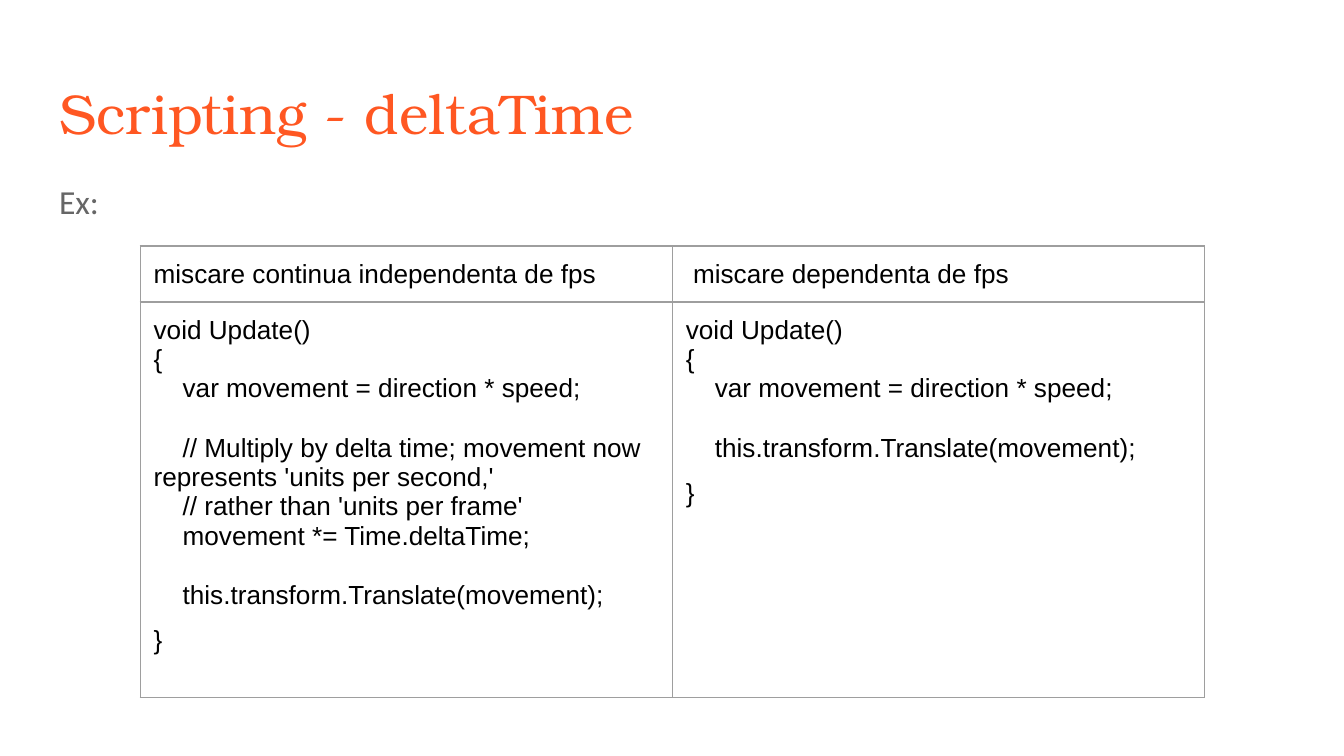
from dataclasses import dataclass

import pptx
import pptx.dml.color
import pptx.enum.text
import pptx.oxml
import pptx.oxml.ns
import pptx.util

COLORS = {"title": "FF5722", "body": "666666", "code": "000000", "border": "9E9E9E"}
WIDTH = pptx.util.Inches(10)
HEIGHT = WIDTH * 9 // 16
INSET = pptx.util.Inches(0.1)
FRAME = {
    "margin_left": INSET,
    "margin_right": INSET,
    "margin_top": INSET,
    "margin_bottom": INSET,
    "vertical_anchor": pptx.enum.text.MSO_ANCHOR.TOP,
}
BOX_FRAME = FRAME | {"word_wrap": True}
CELL_FRAME = FRAME | {"margin_bottom": pptx.util.Inches(0.08)}
BLANK_LINE = pptx.util.Pt(16)


@dataclass
class Style:
    font: str
    size: int
    color: str
    spacing: float | None = None


@dataclass
class Label:
    text: str
    top: float  # share of the slide height
    height: float
    style: Style


@dataclass
class Example:
    heading: str
    code: str


CODE = Style("Arial", 14, "code")
CLOSING = Style("Arial", 14, "code", 1.54)
LABELS = [
    Label("Scripting - deltaTime", 0.0865, 0.112, Style("TeX Gyre Bonum", 30, "title")),
    Label("Ex:", 0.2135, 0.665, Style("Calibri", 18, "body", 1.15)),
]
EXAMPLES = [
    Example(
        "miscare continua independenta de fps",
        """void Update()
{
    var movement = direction * speed;

    // Multiply by delta time; movement now represents 'units per second,'
    // rather than 'units per frame'
    movement *= Time.deltaTime;

    this.transform.Translate(movement);
}""",
    ),
    Example(
        " miscare dependenta de fps",
        """void Update()
{
    var movement = direction * speed;

    this.transform.Translate(movement);
}""",
    ),
]


def apply(target, values: dict) -> None:
    for name, value in values.items():
        setattr(target, name, value)


def write(para, text: str, style: Style) -> None:
    if style.spacing:
        para.line_spacing = style.spacing
    span = para.add_run()
    span.text = text
    apply(span.font, {"name": style.font, "size": pptx.util.Pt(style.size)})
    span.font.color.rgb = pptx.dml.color.RGBColor.from_string(COLORS[style.color])


def draw_label(page, label: Label) -> None:
    box = page.shapes.add_textbox(
        int(WIDTH * 0.0341), int(HEIGHT * label.top),
        int(WIDTH * 0.932), int(HEIGHT * label.height),
    )
    apply(box.text_frame, BOX_FRAME)
    write(box.text_frame.paragraphs[0], label.text, label.style)


def write_code(frame, code: str) -> None:
    """One paragraph per line; an empty line becomes space before the next."""
    para, gap = frame.paragraphs[0], False
    for number, line in enumerate(code.split("\n")):
        if not line:
            gap = True
            continue
        if number:
            para = frame.add_paragraph()
        if gap:
            para.space_before = BLANK_LINE
        write(para, line, CLOSING if line == "}" else CODE)
        gap = False


def format_cell(cell) -> None:
    apply(cell, CELL_FRAME)
    properties = cell._tc.get_or_add_tcPr()
    for side in ("lnL", "lnR", "lnT", "lnB"):
        properties.append(pptx.oxml.parse_xml(
            f'<a:{side} {pptx.oxml.ns.nsdecls("a")} w="{pptx.util.Pt(0.75)}">'
            f'<a:solidFill><a:srgbClr val="{COLORS["border"]}"/></a:solidFill></a:{side}>'
        ))
    cell.fill.background()


def draw_examples(page, examples: list[Example]) -> None:
    heights = [int(HEIGHT * 0.074), int(HEIGHT * 0.523)]
    table = page.shapes.add_table(
        2, len(examples), int(WIDTH * 0.1043), int(HEIGHT * 0.3255),
        int(WIDTH * 0.792), sum(heights),
    ).table
    apply(table, {"first_row": False, "horz_banding": False})
    for row, height in zip(table.rows, heights):
        row.height = height
    for column, example in enumerate(examples):
        heading, body = table.cell(0, column), table.cell(1, column)
        format_cell(heading)
        format_cell(body)
        write(heading.text_frame.paragraphs[0], example.heading, CODE)
        write_code(body.text_frame, example.code)


def main() -> None:
    deck = pptx.Presentation()
    apply(deck, {"slide_width": WIDTH, "slide_height": HEIGHT})
    page = deck.slides.add_slide(deck.slide_layouts[6])
    # Title and lead-in
    for label in LABELS:
        draw_label(page, label)
    # Code comparison
    draw_examples(page, EXAMPLES)
    deck.save("out.pptx")


if __name__ == "__main__":
    main()
